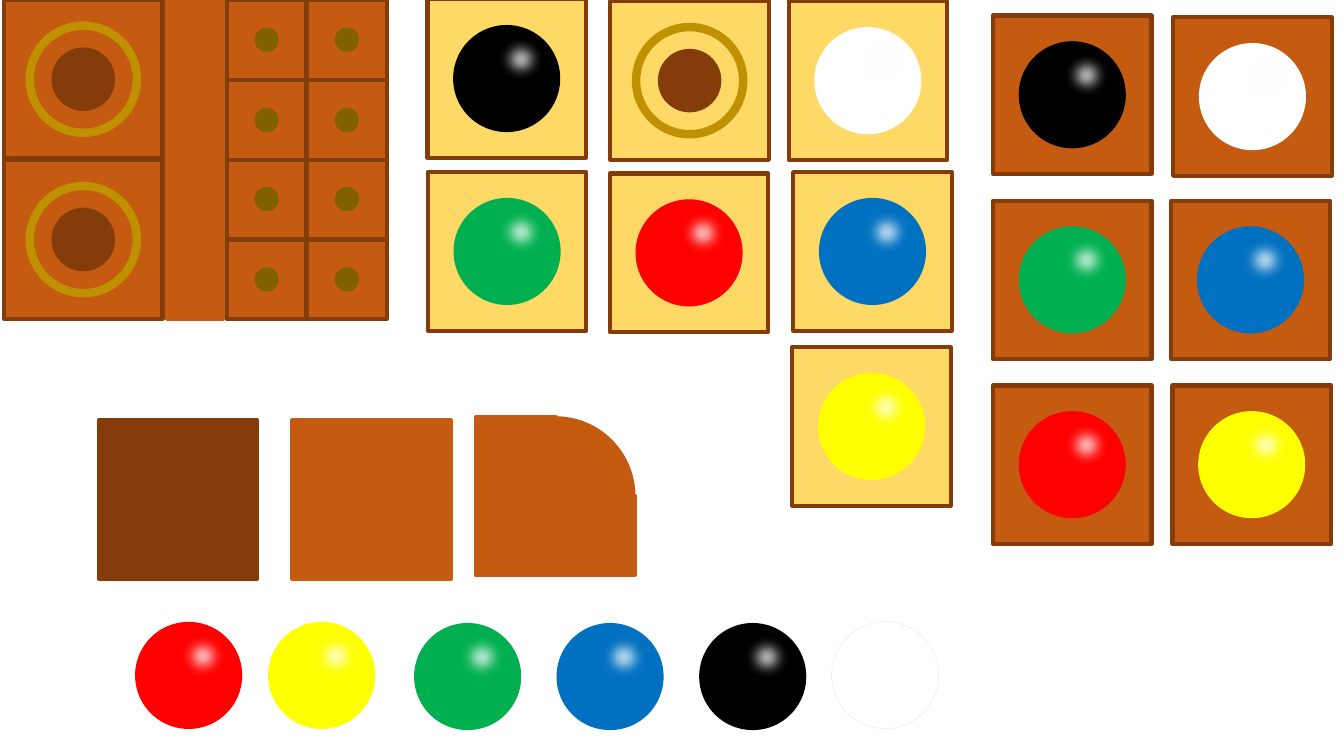
from lxml import etree
from pptx import Presentation
from pptx.dml.color import RGBColor
from pptx.enum.shapes import MSO_SHAPE
from pptx.oxml.ns import qn
from pptx.util import Pt

RECTANGLE = MSO_SHAPE.RECTANGLE
OVAL = MSO_SHAPE.OVAL
ROUNDED = MSO_SHAPE.ROUNDED_RECTANGLE

BROWN = RGBColor(0xC5, 0x5A, 0x11)
DARK_BROWN = RGBColor(0x84, 0x3C, 0x0B)
SAND = RGBColor(0xFF, 0xD9, 0x66)
GOLD = RGBColor(0xBF, 0x90, 0x00)
OLIVE = RGBColor(0x80, 0x60, 0x00)
BLACK = RGBColor(0x00, 0x00, 0x00)
WHITE = RGBColor(0xFF, 0xFF, 0xFF)
RED = RGBColor(0xFF, 0x00, 0x00)
YELLOW = RGBColor(0xFF, 0xFF, 0x00)
GREEN = RGBColor(0x00, 0xB0, 0x50)
BLUE = RGBColor(0x00, 0x70, 0xC0)
PALE_BLUE = RGBColor(0xAB, 0xC0, 0xE4)
PALE_GREY = RGBColor(0xE7, 0xE6, 0xE6)

# Sizes in points
TILE, BALL, HOLE = 113.2, 76.5, 45.4
CELL, PEG, CELL_PITCH = 56.9, 17.3, 57.4
SHINE_WIDTH, SHINE_HEIGHT, SHINE_X, SHINE_Y = 41, 38, 28, 5.2
SOFT_EDGE = 10
BORDER = 3

# Tiles with a ball: tile colour, ball colour, left, top
BALL_TILES = [
    (BROWN, BLUE, 836.6, 143.3),
    (BROWN, YELLOW, 837.5, 275.3),
    (BROWN, GREEN, 709.3, 143.3),
    (BROWN, RED, 709.3, 275.3),
    (BROWN, BLACK, 709.3, 11.1),
    (BROWN, WHITE, 838, 12.4),
    (SAND, BLACK, 305.3, -0.5),
    (SAND, GREEN, 305.6, 123),
    (SAND, RED, 435.6, 124),
    (SAND, WHITE, 563.3, 1),
    (SAND, BLUE, 566.6, 123),
    (SAND, YELLOW, 565.9, 248),
]
# Tiles with a ringed hole: tile colour, left, top
HOLE_TILES = [(BROWN, 2.9, 0), (BROWN, 2.9, 114.5), (SAND, 436, 1)]
# Peg panels of two by two cells: left, top
PEG_PANELS = [(162, 113.8), (162, 0)]
# Plain blocks: colour, left, top, width
BLOCKS = [
    (BROWN, 119.5, 114.5, 39.7),
    (BROWN, 119.5, 0, 39.7),
    (DARK_BROWN, 70.6, 300.2, TILE),
    (BROWN, 208.8, 300.2, TILE),
]
CORNER_LEFT, CORNER_TOP = 340.2, 297.8
# Loose balls: colour, left, top
LOOSE_BALLS = [
    (RED, 96.5, 444.2),
    (YELLOW, 191.5, 444.2),
    (GREEN, 295.8, 445),
    (BLUE, 397.5, 445),
    (BLACK, 499.4, 445),
]
WHITE_BALL = (594, 444)


def add_figure(shapes, kind, left, top, width, height, fill=None, line=None, weight=BORDER):
    """Add a flat preset shape; no colour means no fill or no line."""
    figure = shapes.add_shape(kind, Pt(left), Pt(top), Pt(width), Pt(height))
    figure.shadow.inherit = False
    if fill is None:
        figure.fill.background()
    else:
        figure.fill.solid()
        figure.fill.fore_color.rgb = fill
    if line is None:
        figure.line.fill.background()
    else:
        figure.line.color.rgb = line
        figure.line.width = Pt(weight)
    return figure


def add_centred_oval(shapes, left, top, outer, size, **style):
    """Add a circle in the middle of a square of the given outer size."""
    inset = (outer - size) / 2
    return add_figure(shapes, OVAL, left + inset, top + inset, size, size, **style)


def add_shine(shapes, left, top):
    """Add the soft white highlight of the ball at left, top."""
    shine = add_figure(shapes, OVAL, left + SHINE_X, top + SHINE_Y,
                       SHINE_WIDTH, SHINE_HEIGHT, WHITE, PALE_BLUE, 1)
    effects = shine._element.spPr.find(qn("a:effectLst"))
    etree.SubElement(effects, qn("a:softEdge"), rad=str(Pt(SOFT_EDGE)))


def add_ball(shapes, colour, left, top):
    """Add a ball with its highlight."""
    add_figure(shapes, OVAL, left, top, BALL, BALL, colour)
    add_shine(shapes, left, top)


def add_ball_tile(slide, tile_colour, ball_colour, left, top):
    """Add a bordered tile that holds a ball."""
    shapes = slide.shapes.add_group_shape().shapes
    add_figure(shapes, RECTANGLE, left, top, TILE, TILE, tile_colour, DARK_BROWN)
    inset = (TILE - BALL) / 2
    add_ball(shapes, ball_colour, left + inset, top + inset)


def add_hole_tile(slide, tile_colour, left, top):
    """Add a bordered tile with a hole inside a golden ring."""
    shapes = slide.shapes.add_group_shape().shapes
    add_figure(shapes, RECTANGLE, left, top, TILE, TILE, tile_colour, DARK_BROWN)
    add_centred_oval(shapes, left, top, TILE, HOLE, fill=DARK_BROWN)
    add_centred_oval(shapes, left, top, TILE, BALL, line=GOLD, weight=6)


def add_peg_panel(slide, left, top):
    """Add two by two cells with a small peg hole in each."""
    shapes = slide.shapes.add_group_shape().shapes
    for row in (1, 0):
        for column in (1, 0):
            x, y = left + column * CELL_PITCH, top + row * CELL_PITCH
            add_figure(shapes, RECTANGLE, x, y, CELL, CELL, BROWN, DARK_BROWN)
            add_centred_oval(shapes, x, y, CELL, PEG, fill=OLIVE)


def add_corner(slide, left, top):
    """Add the block whose upper right corner is round."""
    shapes = slide.shapes.add_group_shape().shapes
    half = TILE / 2
    add_figure(shapes, RECTANGLE, left, top + half, TILE, half, BROWN, BROWN)
    disc = add_figure(shapes, ROUNDED, left, top, TILE, TILE, BROWN, BROWN, 1)
    disc.adjustments[0] = 0.5
    add_figure(shapes, RECTANGLE, left, top, half, TILE, BROWN, BROWN)


deck = Presentation()
deck.slide_width, deck.slide_height = Pt(960), Pt(540)
page = deck.slides.add_slide(deck.slide_layouts[6])

for tile in BALL_TILES:
    add_ball_tile(page, *tile)
for tile in HOLE_TILES:
    add_hole_tile(page, *tile)
for colour, left, top, width in BLOCKS:
    add_figure(page.shapes, RECTANGLE, left, top, width, TILE, colour, colour)
for panel in PEG_PANELS:
    add_peg_panel(page, *panel)
add_corner(page, CORNER_LEFT, CORNER_TOP)
for ball in LOOSE_BALLS:
    add_ball(page.shapes, *ball)
add_figure(page.shapes, OVAL, *WHITE_BALL, BALL, BALL, WHITE, PALE_GREY, 0.25)

deck.save("out.pptx")
